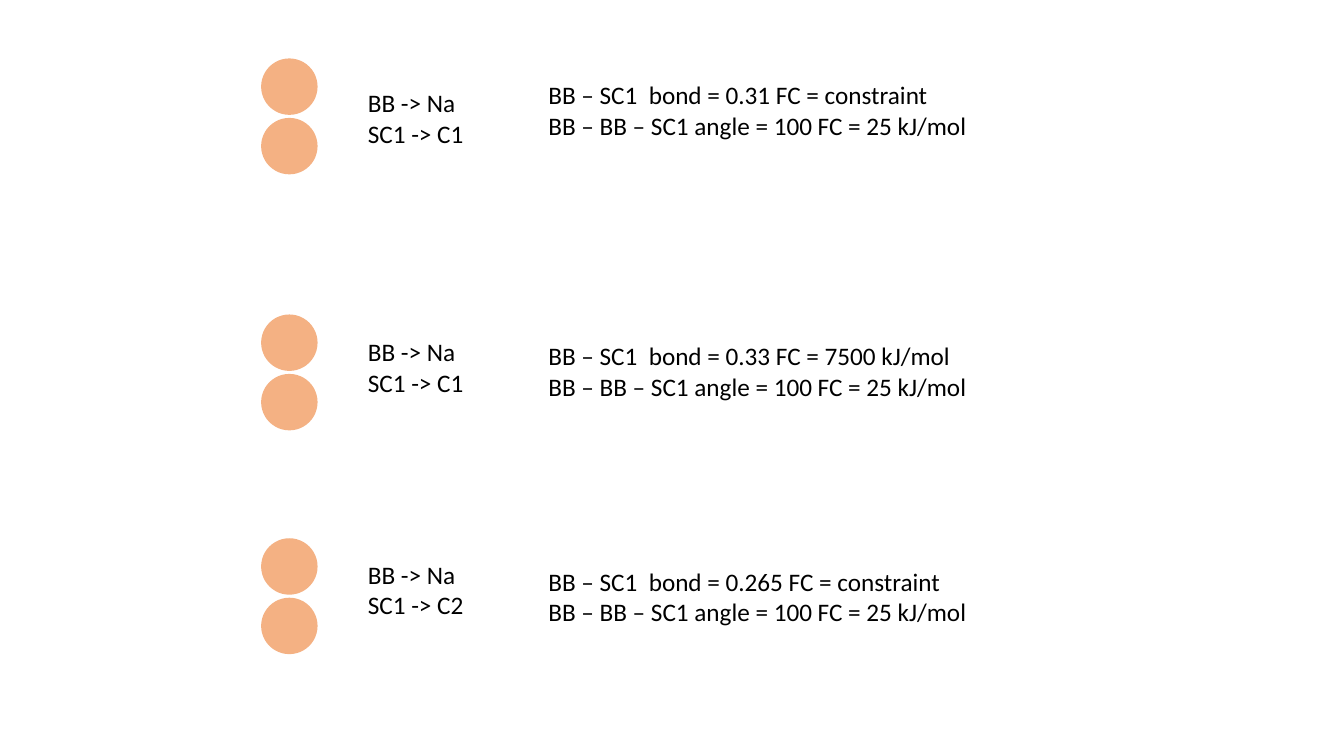
from pptx import Presentation
from pptx.dml.color import RGBColor
from pptx.enum.shapes import MSO_SHAPE
from pptx.enum.text import MSO_AUTO_SIZE
from pptx.util import Inches, Pt

SIZE = 0.56
STEP = 0.59
ANGLE = "BB – BB – SC1 angle = 100 FC = 25 kJ/mol"

# bead top, type top, type of SC1, bond top, bond length, force constant
MODELS = [
    (0.58, 0.82, "C1", 0.74, "0.31", "constraint"),
    (3.12, 3.29, "C1", 3.33, "0.33", "7500 kJ/mol"),
    (5.34, 5.5, "C2", 5.57, "0.265", "constraint"),
]


def color(code):
    return RGBColor.from_string(code)


def add_text(left, top, width, lines):
    box = slide.shapes.add_textbox(
        Inches(left), Inches(top), Inches(width), Inches(0.71))
    frame = box.text_frame
    frame.word_wrap = True
    frame.auto_size = MSO_AUTO_SIZE.SHAPE_TO_FIT_TEXT
    frame.text = "\n".join(lines)
    for line in frame.paragraphs:
        line.font.name = "Calibri"
        line.font.size = Pt(18)
        line.font.color.rgb = color("000000")


deck = Presentation()
deck.slide_width = Inches(13.33)
deck.slide_height = Inches(7.5)
slide = deck.slides.add_slide(deck.slide_layouts[6])

for bead_top, type_top, kind, bond_top, length, force in MODELS:
    for row in range(2):
        bead = slide.shapes.add_shape(
            MSO_SHAPE.OVAL, Inches(2.59), Inches(bead_top + row * STEP),
            Inches(SIZE), Inches(SIZE))
        bead.shadow.inherit = False
        bead.fill.solid()
        bead.fill.fore_color.rgb = color("F4B183")
        bead.line.fill.background()
    add_text(3.55, type_top, 1.52, ["BB -> Na", f"SC1 -> {kind}"])
    add_text(5.34, bond_top, 4.38,
             [f"BB – SC1  bond = {length} FC = {force}", ANGLE])

deck.save("out.pptx")
